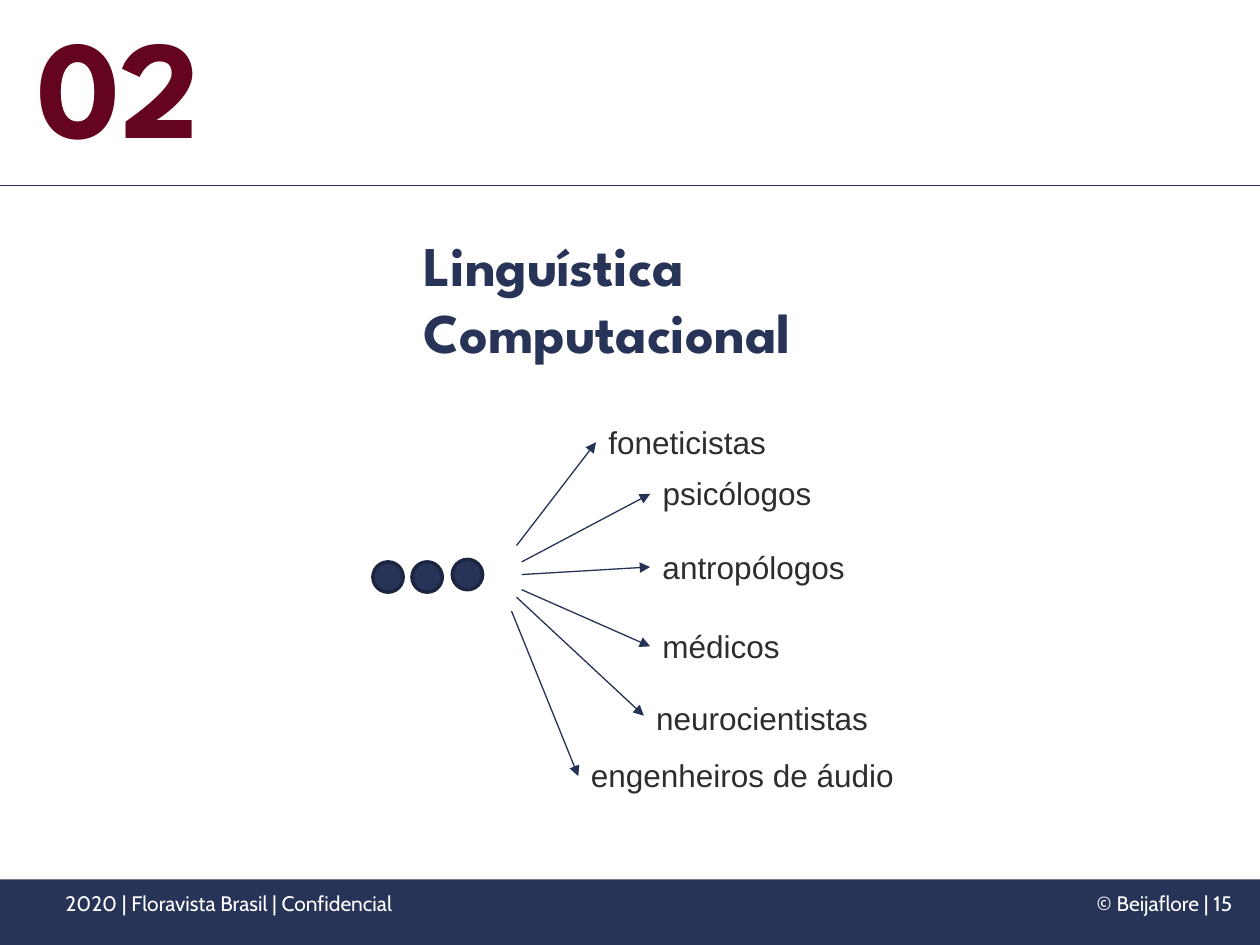
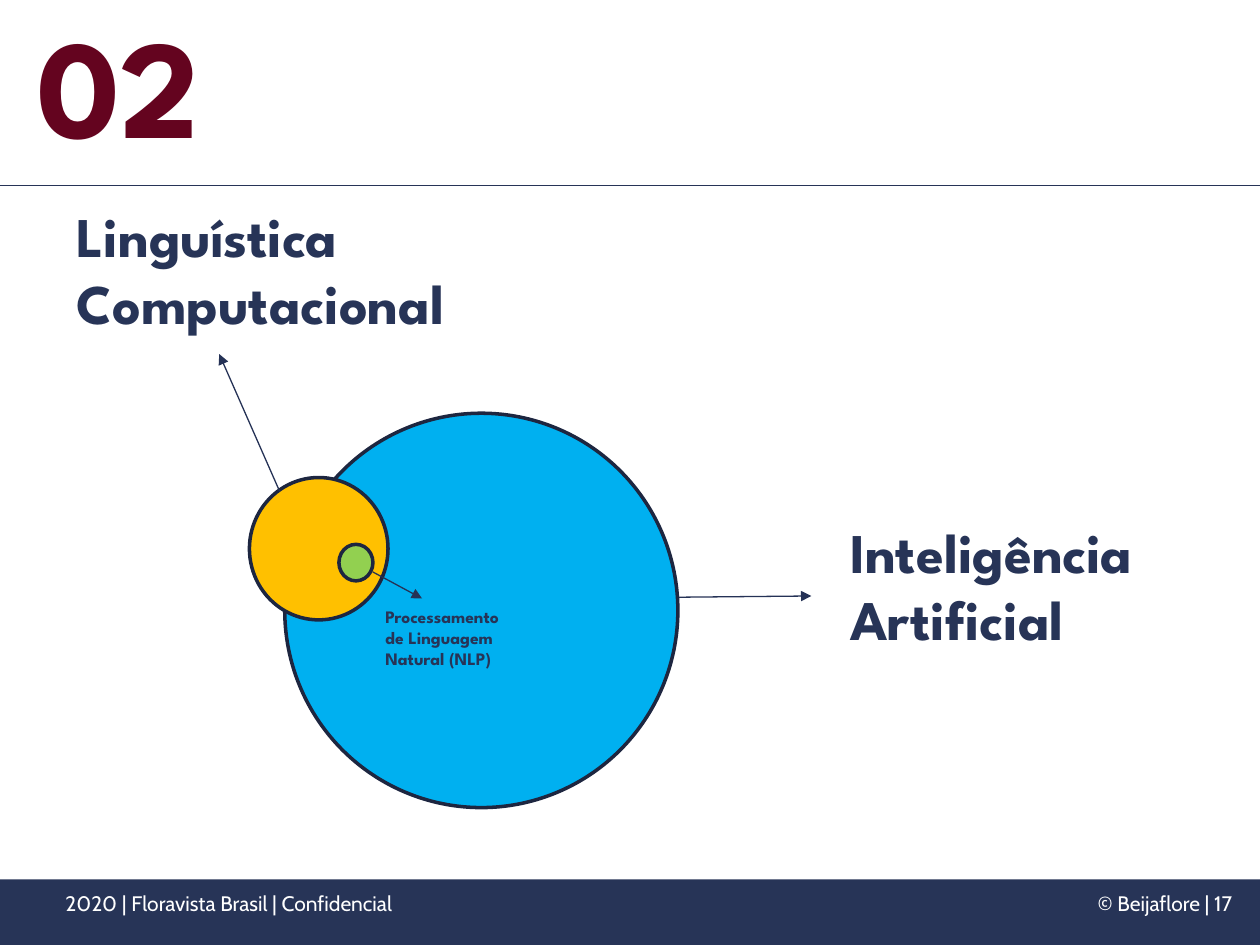
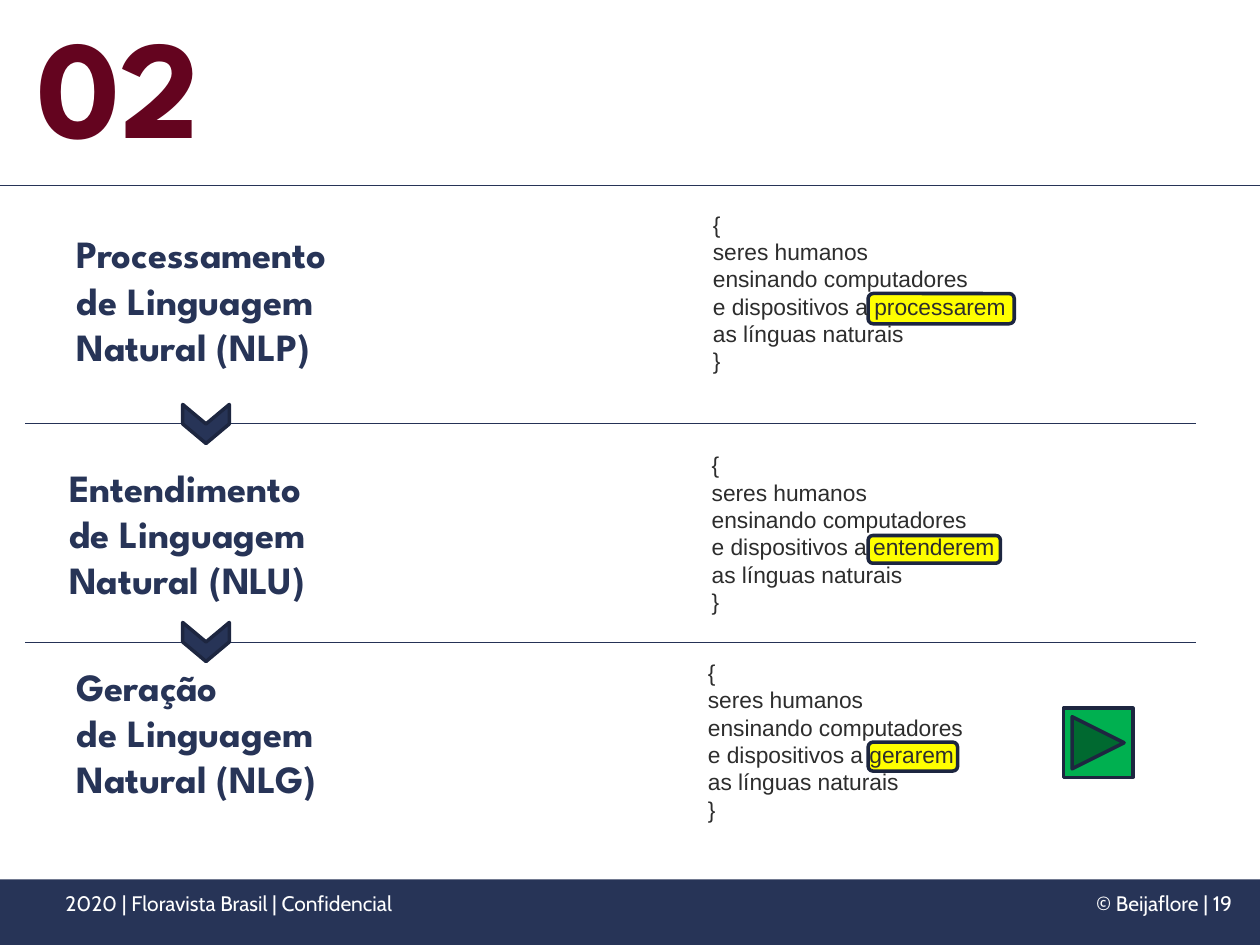
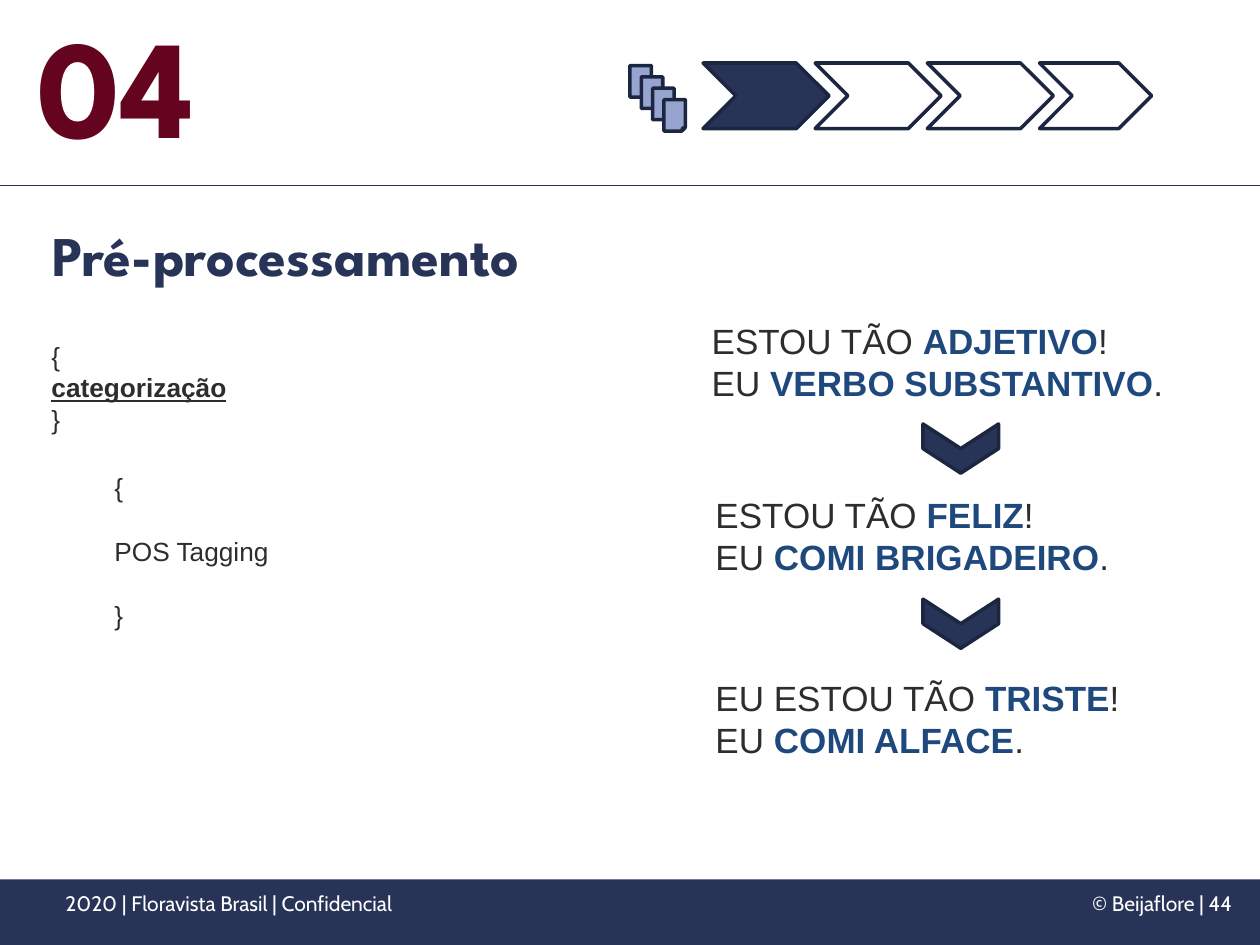
from lxml.etree import SubElement
from pptx import Presentation
from pptx.dml.color import RGBColor
from pptx.enum.shapes import MSO_CONNECTOR, MSO_SHAPE
from pptx.enum.text import MSO_ANCHOR, MSO_AUTO_SIZE, PP_ALIGN
from pptx.oxml.ns import qn
from pptx.util import Inches, Pt

COLORS = {
    "navy": "273457", "outline": "1D2640", "arrow": "253256", "wine": "64041F",
    "ink": "2D2D2D", "accent": "1F497D", "white": "FFFFFF", "sky": "00B0F0",
    "amber": "FFC000", "lime": "92D050", "yellow": "FFFF00", "green": "00B050",
    "paper": "95A5CF",
}
HEADING = {"name": "League Spartan", "bold": True}
BODY = {"name": "Arial", "bold": False}
FOOTER = {"name": "Cabin", "bold": False}
BOLD = {"bold": True}


def add_text(page, at, lines, size, color="ink", style=BODY, wrap=True, grow=True,
             insets=(0.1, 0.05, 0.1, 0.05), align=PP_ALIGN.LEFT, anchor=MSO_ANCHOR.TOP,
             gap=0, strong=BOLD, strong_color=None):
    """Write one paragraph per line; words between asterisks take the strong style."""
    frame = page.shapes.add_textbox(*map(Inches, at)).text_frame
    sides = ("margin_left", "margin_top", "margin_right", "margin_bottom")
    settings = dict(zip(sides, map(Inches, insets)))
    settings.update(word_wrap=wrap, vertical_anchor=anchor,
                    auto_size=MSO_AUTO_SIZE.SHAPE_TO_FIT_TEXT if grow else MSO_AUTO_SIZE.NONE)
    for name, value in settings.items():
        setattr(frame, name, value)
    for row, line in enumerate(lines):
        para = frame.add_paragraph() if row else frame.paragraphs[0]
        para.alignment = align
        if row and gap:
            para.space_before = Pt(gap)
        for part, words in enumerate(line.split("*")):
            if not words:
                continue
            span = para.add_run()
            span.text = words
            is_strong = part % 2 == 1
            for name, value in {**style, "size": Pt(size), **(strong if is_strong else {})}.items():
                setattr(span.font, name, value)
            shade = strong_color if is_strong and strong_color else color
            span.font.color.rgb = RGBColor.from_string(COLORS[shade])


def add_shape(page, kind, at, fill, rotation=0, outlined=True):
    shape = page.shapes.add_shape(kind, *map(Inches, at))
    shape.shadow.inherit = False
    shape.rotation = rotation
    shape.fill.solid()
    shape.fill.fore_color.rgb = RGBColor.from_string(COLORS[fill])
    if outlined:
        shape.line.color.rgb = RGBColor.from_string(COLORS["outline"])
        shape.line.width = Pt(2)
    else:
        shape.line.fill.background()
    return shape


deck = Presentation()
deck.slide_width, deck.slide_height = Inches(10), Inches(7.5)

# Section number and footer of every page
pages = []
for section, number in [("02", 15), ("02", 17), ("02", 19), ("04", 44)]:
    page = deck.slides.add_slide(deck.slide_layouts[6])
    pages.append(page)
    add_text(page, (0.2, -0.11, 1.94, 1.48), [section], 80, "wine", HEADING,
             insets=(0.1, 0.08, 0.1, 0.05), anchor=MSO_ANCHOR.BOTTOM)
    for at, words, align in [
        ((7.55, 6.95, 2.33, 0.4), f"© Beijaflore | {number}", PP_ALIGN.RIGHT),
        ((0.42, 6.95, 4.65, 0.4), "2020 | Floravista Brasil | Confidencial", PP_ALIGN.LEFT),
    ]:
        add_text(page, at, [words], 12, "white", FOOTER, grow=False,
                 insets=(0.1, 0.12, 0.1, 0.05), align=align)
fields_page, circles_page, stages_page, tagging_page = pages

# Fields page: three dots
for left, top in [(2.96, 4.46), (3.27, 4.46), (3.59, 4.44)]:
    add_shape(fields_page, MSO_SHAPE.OVAL, (left, top, 0.24, 0.24), "navy")

# Circles page: nested fields
for at, fill in [
    ((2.26, 3.28, 3.12, 3.13), "sky"),
    ((1.98, 3.79, 1.1, 1.13), "amber"),
    ((2.69, 4.32, 0.27, 0.29), "lime"),
]:
    add_shape(circles_page, MSO_SHAPE.OVAL, at, fill)

# Headings
for page, at, lines, size in [
    (fields_page, (3.26, 1.78, 3.63, 1.18), ["Linguística", "Computacional"], 32),
    (circles_page, (0.51, 1.55, 3.63, 1.18), ["Linguística", "Computacional"], 32),
    (circles_page, (6.65, 4.06, 2.83, 1.18), ["Inteligência", "Artificial"], 32),
    (circles_page, (2.96, 4.76, 1.31, 0.61),
     ["Processamento", "de Linguagem", "Natural (NLP)"], 10),
    (tagging_page, (0.32, 1.7, 4.6, 0.64), ["Pré-processamento"], 32),
]:
    add_text(page, at, lines, size, "navy", HEADING)

# Arrows and separators: start, end, arrowhead
lines = [
    (circles_page, (2.22, 3.9), (1.74, 2.81), True),
    (circles_page, (5.39, 4.74), (6.44, 4.73), True),
    (circles_page, (2.96, 4.54), (3.35, 4.75), True),
    (stages_page, (0.2, 3.36), (9.49, 3.36), False),
    (stages_page, (0.2, 5.1), (9.49, 5.1), False),
]
for label, start, end, top, width in [
    ("foneticistas", (4.1, 4.33), (4.73, 3.51), 3.31, 1.46),
    ("psicólogos", (4.14, 4.46), (5.16, 3.92), 3.71, 1.39),
    ("antropólogos", (4.14, 4.56), (5.16, 4.5), 4.3, 1.66),
    ("médicos", (4.14, 4.68), (5.16, 5.13), 4.93, 1.14),
    ("neurocientistas", (4.1, 4.74), (5.11, 5.68), 5.5, 1.9),
    ("engenheiros de áudio", (4.06, 4.85), (4.59, 6.16), 5.95, 2.69),
]:
    add_text(fields_page, (end[0], top, width, 0.4), [label], 18, wrap=False)
    lines.append((fields_page, start, end, True))

head_rule = (fields_page, (-0.04, 1.47), (10, 1.47), False)
for page, start, end, has_head in lines + [head_rule]:
    connector = page.shapes.add_connector(MSO_CONNECTOR.STRAIGHT, *map(Inches, start + end))
    connector.line.color.rgb = RGBColor.from_string(COLORS["arrow"])
    connector.line.width = Pt(0.75)
    if has_head:
        SubElement(connector.line._get_or_add_ln(), qn("a:tailEnd"), type="triangle")
    SubElement(connector.element.spPr, qn("a:effectLst"))

# Head rule and footer band belong to the master
connector.line.color.rgb = RGBColor.from_string(COLORS["navy"])
band = add_shape(fields_page, MSO_SHAPE.RECTANGLE, (-0.04, 6.98, 10.08, 0.55), "navy",
                 outlined=False)
for shape_id, part in enumerate([band, connector], 20):
    part.element.xpath("./*/p:cNvPr")[0].set("id", str(shape_id))
    deck.slide_master.shapes.element.append(part.element)

# Stages page: title, definition and highlighted verb
for title, title_at, verb, verb_at, definition_at in [
    ("Processamento|NLP", (0.51, 1.78), "processarem", (2.33, 1.16, 0.24), (5.56, 1.62, 2.56)),
    ("Entendimento|NLU", (0.45, 3.63), "entenderem", (4.25, 1.05, 0.22), (5.55, 3.53, 2.48)),
    ("Geração|NLG", (0.51, 5.21), "gerarem", (5.89, 0.71, 0.23), (5.52, 5.18, 2.31)),
]:
    name, code = title.split("|")
    add_text(stages_page, (*title_at, 3.59, 1.21),
             [name, "de Linguagem", f"Natural ({code})"], 22, "navy", HEADING)
    add_shape(stages_page, MSO_SHAPE.ROUNDED_RECTANGLE, (6.89, *verb_at), "yellow")
    add_text(stages_page, (*definition_at, 1.67),
             ["{", "seres humanos", "ensinando computadores",
              f"e dispositivos a {verb}", "as línguas naturais", "}"], 13, wrap=False)
add_shape(stages_page, MSO_SHAPE.ACTION_BUTTON_FORWARD_OR_NEXT, (8.44, 5.62, 0.55, 0.55), "green")

# Chevrons pointing down
for page, at in [
    (stages_page, (1.48, 3.18, 0.31, 0.37)),
    (stages_page, (1.48, 4.91, 0.31, 0.37)),
    (tagging_page, (7.43, 3.26, 0.39, 0.6)),
    (tagging_page, (7.43, 4.65, 0.39, 0.6)),
]:
    add_shape(page, MSO_SHAPE.CHEVRON, at, "navy", rotation=90)

# Tagging page: progress chevrons and stack of sheets
for step, width in enumerate([1, 1, 1, 0.89]):
    add_shape(tagging_page, MSO_SHAPE.CHEVRON, (5.58 + 0.89 * step, 0.5, width, 0.52),
              "white" if step else "navy")
for sheet in range(4):
    add_shape(tagging_page, MSO_SHAPE.FOLDED_CORNER,
              (5 + 0.09 * sheet, 0.52 + 0.09 * sheet, 0.17, 0.25), "paper")

# Tagging page: technique and example sentences
add_text(tagging_page, (0.31, 2.65, 1.61, 1.11), ["{", "*categorização*", "}"], 15,
         wrap=False, strong={"bold": True, "underline": True})
add_text(tagging_page, (0.81, 3.69, 1.44, 1.62), ["{", "POS Tagging", "}"], 15,
         wrap=False, gap=18.5)
for at, sentences in [
    ((5.55, 2.49, 3.86, 0.77), ["ESTOU TÃO *ADJETIVO*!", "EU *VERBO SUBSTANTIVO*."]),
    ((5.58, 3.87, 3.39, 0.77), ["ESTOU TÃO *FELIZ*!", "EU *COMI BRIGADEIRO*."]),
    ((5.58, 5.32, 3.65, 0.77), ["EU ESTOU TÃO *TRISTE*!", "EU *COMI ALFACE*."]),
]:
    add_text(tagging_page, at, sentences, 20, strong_color="accent")

deck.save("out.pptx")
